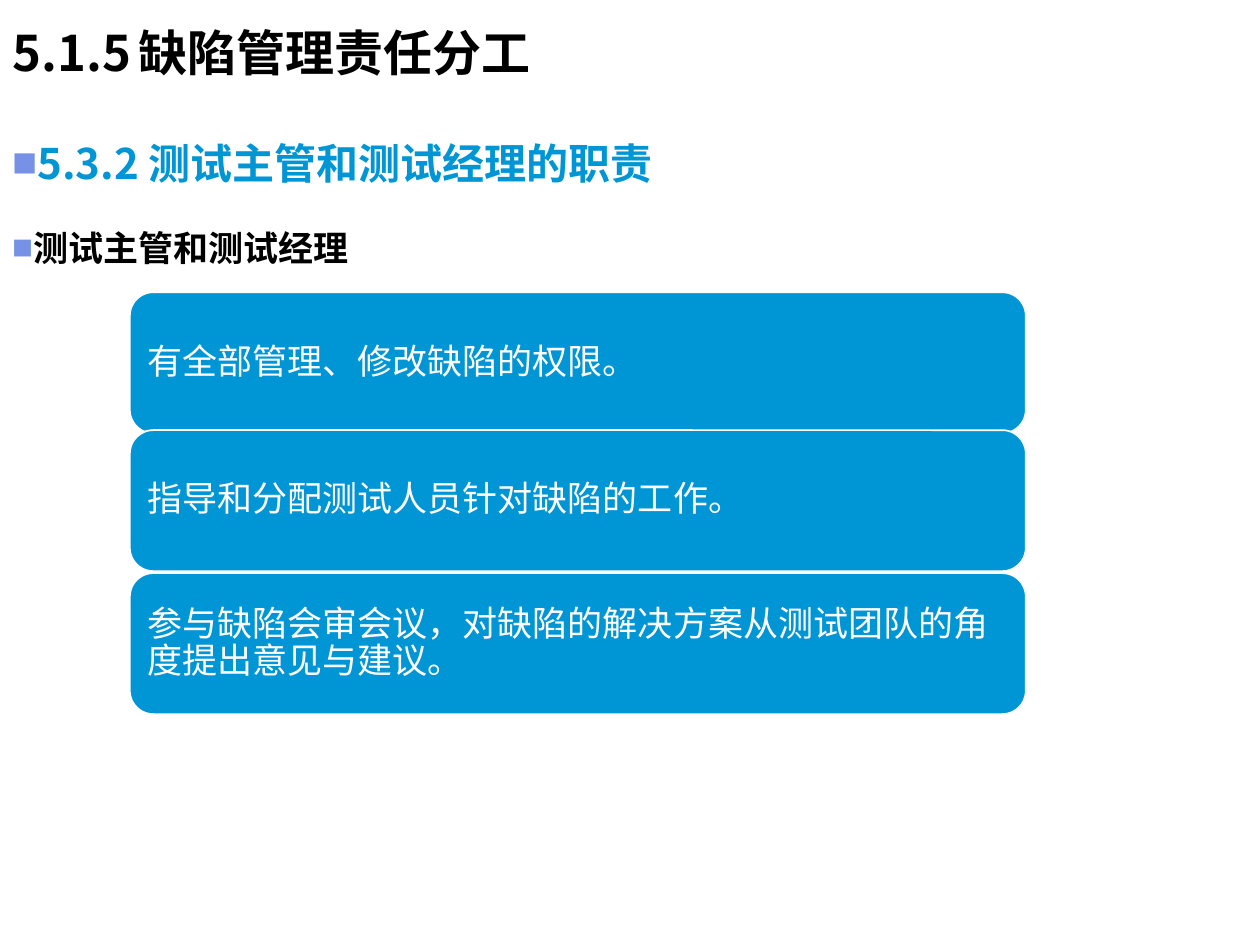
from dataclasses import dataclass

import pptx
import pptx.dml.color
import pptx.enum.shapes
import pptx.enum.text
import pptx.oxml
import pptx.oxml.ns
import pptx.util

Pt = pptx.util.Pt
FONT = "Noto Sans CJK SC"
BLUE, BLACK, WHITE, BULLET = "0096D6", "000000", "FFFFFF", "7691E6"
CARD_LEFT, CARD_WIDTH, CARD_HEIGHT, CARD_INSET = 74.2, 512, 80.6, 6


@dataclass
class Heading:
    text: str
    top: float
    width: float
    height: float
    size: float
    color: str


@dataclass
class Card:
    text: str
    top: float


HEADINGS = [
    Heading("测试主管和测试经理", 126, 663.8, 32.4, 20, BLACK),
    Heading("5.3.2 测试主管和测试经理的职责", 74.9, 639.4, 28.8, 24, BLUE),
]
CARDS = [
    Card("有全部管理、修改缺陷的权限。", 167),
    Card("指导和分配测试人员针对缺陷的工作。", 245.8),
    Card("参与缺陷会审会议，对缺陷的解决方案从测试团队的角度提出意见与建议。", 327.5),
]


def rgb(value: str) -> pptx.dml.color.RGBColor:
    return pptx.dml.color.RGBColor.from_string(value)


def apply(target, values: dict) -> None:
    for name, value in values.items():
        setattr(target, name, value)


def write(box, text: str, size: float, color: str, bold: bool, anchor, inset: dict):
    frame = box.text_frame
    apply(frame, {"word_wrap": True, "vertical_anchor": anchor,
                  "auto_size": pptx.enum.text.MSO_AUTO_SIZE.NONE, **inset})
    para = frame.paragraphs[0]
    para.alignment = pptx.enum.text.PP_ALIGN.LEFT
    span = para.add_run()
    span.text = text
    span.font.color.rgb = rgb(color)
    apply(span.font, {"name": FONT, "size": Pt(size), "bold": bold})
    east_asian = pptx.oxml.parse_xml(
        f'<a:ea {pptx.oxml.ns.nsdecls("a")} typeface="{FONT}"/>')
    span.font._element.append(east_asian)
    return para


def add_bullet(para) -> None:
    properties = para._p.get_or_add_pPr()
    apply_indent = {"marL": "0", "indent": "0"}
    for name, value in apply_indent.items():
        properties.set(name, value)
    namespace = pptx.oxml.ns.nsdecls("a")
    for element in (
        f'<a:buClr {namespace}><a:srgbClr val="{BULLET}"/></a:buClr>',
        f'<a:buSzPct {namespace} val="60000"/>',
        f'<a:buFont {namespace} typeface="{FONT}"/>',
        f'<a:buChar {namespace} char="■"/>',
    ):
        properties.append(pptx.oxml.parse_xml(element))


def add_title(page, text: str) -> None:
    title = page.shapes.title
    apply(title, {"left": Pt(0), "top": Pt(0), "width": Pt(498.2), "height": Pt(59.8)})
    write(title, text, 28, BLACK, True, pptx.enum.text.MSO_ANCHOR.MIDDLE, {})


def add_heading(page, heading: Heading) -> None:
    box = page.shapes.add_textbox(
        Pt(0), Pt(heading.top), Pt(heading.width), Pt(heading.height))
    para = write(box, heading.text, heading.size, heading.color, True,
                 pptx.enum.text.MSO_ANCHOR.TOP, {})
    add_bullet(para)


def add_card(page, card: Card) -> None:
    box = page.shapes.add_shape(
        pptx.enum.shapes.MSO_SHAPE.ROUNDED_RECTANGLE,
        Pt(CARD_LEFT), Pt(card.top), Pt(CARD_WIDTH), Pt(CARD_HEIGHT))
    box.shadow.inherit = False
    box.fill.solid()
    box.fill.fore_color.rgb = rgb(BLUE)
    box.line.color.rgb = rgb(WHITE)
    box.line.width = Pt(1)
    inset = {f"margin_{side}": Pt(CARD_INSET) for side in ("left", "top", "right", "bottom")}
    para = write(box, card.text, 20, WHITE, False,
                 pptx.enum.text.MSO_ANCHOR.MIDDLE, inset)
    para.line_spacing = 0.9


def main() -> None:
    deck = pptx.Presentation()
    apply(deck, {"slide_width": Pt(720), "slide_height": Pt(540)})
    page = deck.slides.add_slide(deck.slide_layouts[5])
    add_title(page, "5.1.5\t缺陷管理责任分工")
    for heading in HEADINGS:
        add_heading(page, heading)
    for card in CARDS:
        add_card(page, card)
    deck.save("out.pptx")


if __name__ == "__main__":
    main()
